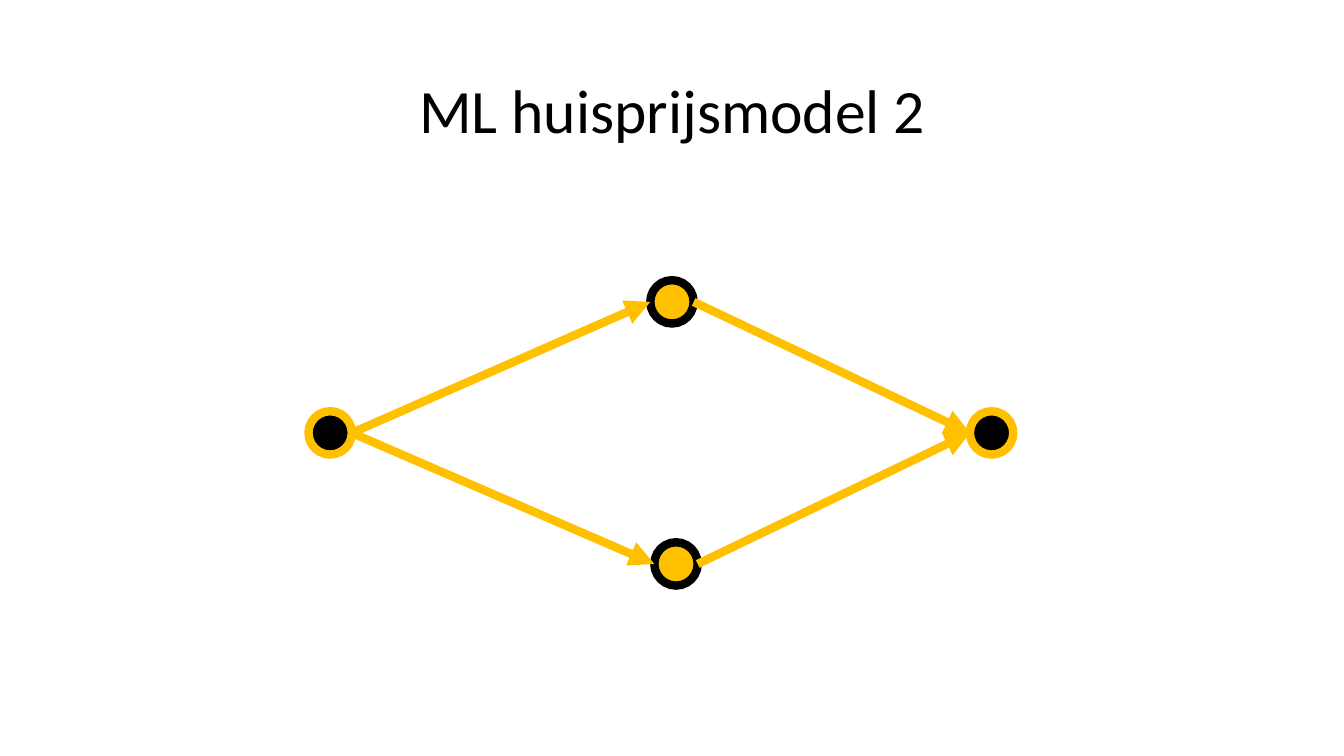
from lxml import etree
from pptx import Presentation
from pptx.dml.color import RGBColor
from pptx.enum.shapes import MSO_CONNECTOR, MSO_SHAPE
from pptx.enum.text import MSO_ANCHOR, PP_ALIGN
from pptx.oxml.ns import qn
from pptx.util import Inches, Pt

STRAIGHT = MSO_CONNECTOR.STRAIGHT
OVAL = MSO_SHAPE.OVAL
MIDDLE = MSO_ANCHOR.MIDDLE
CENTER = PP_ALIGN.CENTER

TITLE_ONLY_LAYOUT = 5
BLACK = "000000"
GOLD = "FFC000"
DIAMETER = 0.43
LINE_WIDTH = 6

# name: (left, top, fill, outline)
NODES = {
    "input": (3.06, 4.08, BLACK, GOLD),
    "upper": (6.45, 2.78, GOLD, BLACK),
    "output": (9.62, 4.08, BLACK, GOLD),
    "lower": (6.49, 5.38, GOLD, BLACK),
}
EDGES = [("input", "upper"), ("upper", "output"),
         ("input", "lower"), ("lower", "output")]


def rgb(hex_colour):
    return RGBColor.from_string(hex_colour)


def set_attributes(target, values):
    for name, value in values.items():
        setattr(target, name, value)


def set_line(line, colour):
    line.color.rgb = rgb(colour)
    line.width = Pt(LINE_WIDTH)


def add_title(slide, text):
    title = slide.shapes.title
    set_attributes(title, {"left": Inches(0.92), "top": Inches(0.4),
                           "width": Inches(11.5), "height": Inches(1.45)})
    title.text_frame.vertical_anchor = MIDDLE
    para = title.text_frame.paragraphs[0]
    set_attributes(para, {"alignment": CENTER, "line_spacing": 0.9})
    span = para.add_run()
    span.text = text
    set_attributes(span.font, {"name": "Calibri", "size": Pt(44)})
    span.font.color.rgb = rgb(BLACK)


def add_node(slide, left, top, fill, outline):
    node = slide.shapes.add_shape(OVAL, Inches(left), Inches(top),
                                  Inches(DIAMETER), Inches(DIAMETER))
    node.shadow.inherit = False
    node.fill.solid()
    node.fill.fore_color.rgb = rgb(fill)
    set_line(node.line, outline)
    return node


def add_arrow(slide, source, target):
    """Join the right side of one node to the left side of another."""
    arrow = slide.shapes.add_connector(
        STRAIGHT,
        source.left + source.width, source.top + source.height // 2,
        target.left, target.top + target.height // 2)
    set_line(arrow.line, GOLD)
    properties = arrow._element.spPr
    outline = properties.find(qn("a:ln"))
    etree.SubElement(outline, qn("a:tailEnd"), type="triangle")
    etree.SubElement(properties, qn("a:effectLst"))


def main():
    deck = Presentation()
    set_attributes(deck, {"slide_width": Inches(13.33),
                          "slide_height": Inches(7.5)})
    slide = deck.slides.add_slide(deck.slide_layouts[TITLE_ONLY_LAYOUT])
    add_title(slide, "ML huisprijsmodel 2")
    nodes = {name: add_node(slide, *values) for name, values in NODES.items()}
    for source, target in EDGES:
        add_arrow(slide, nodes[source], nodes[target])
    deck.save("out.pptx")


if __name__ == "__main__":
    main()
